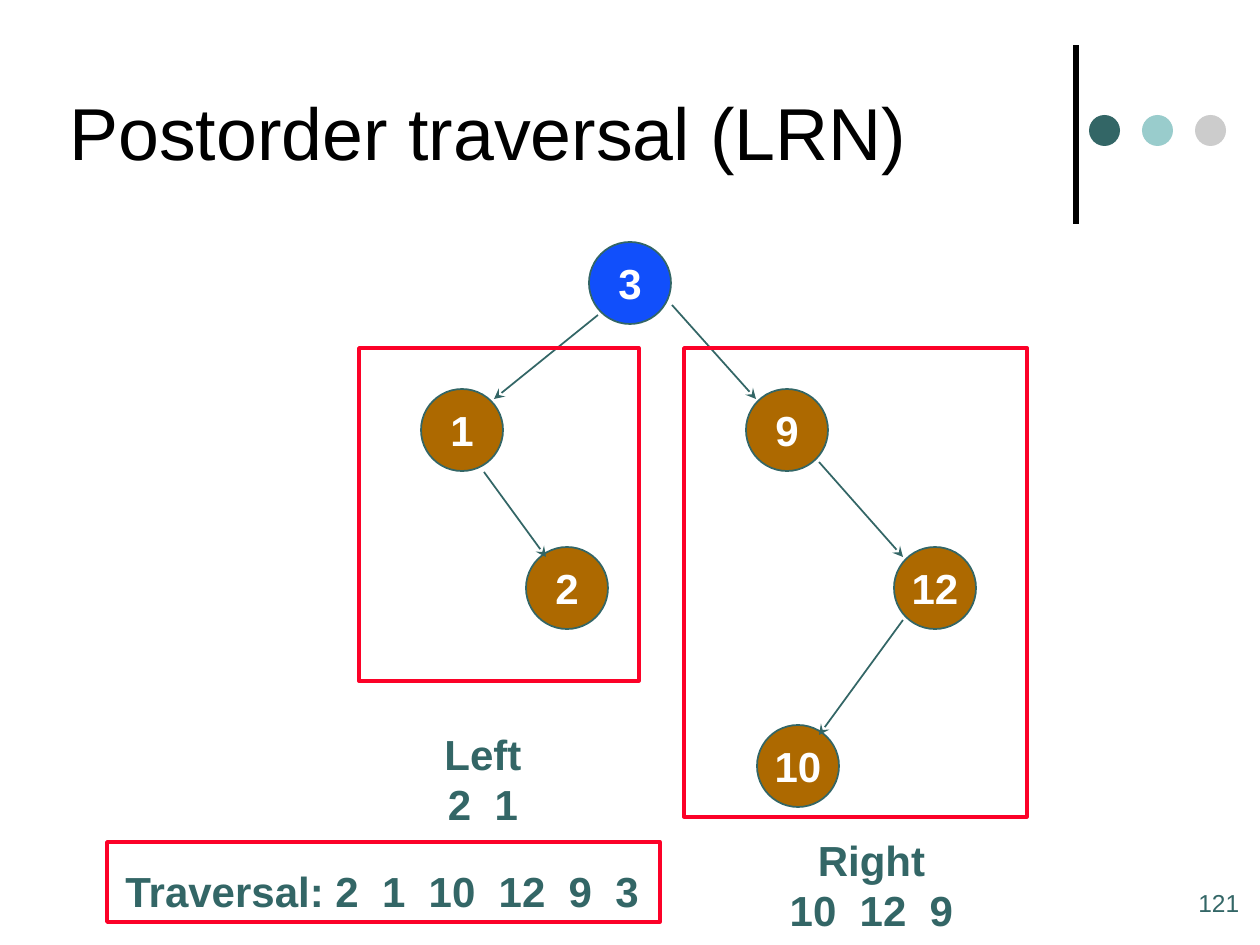
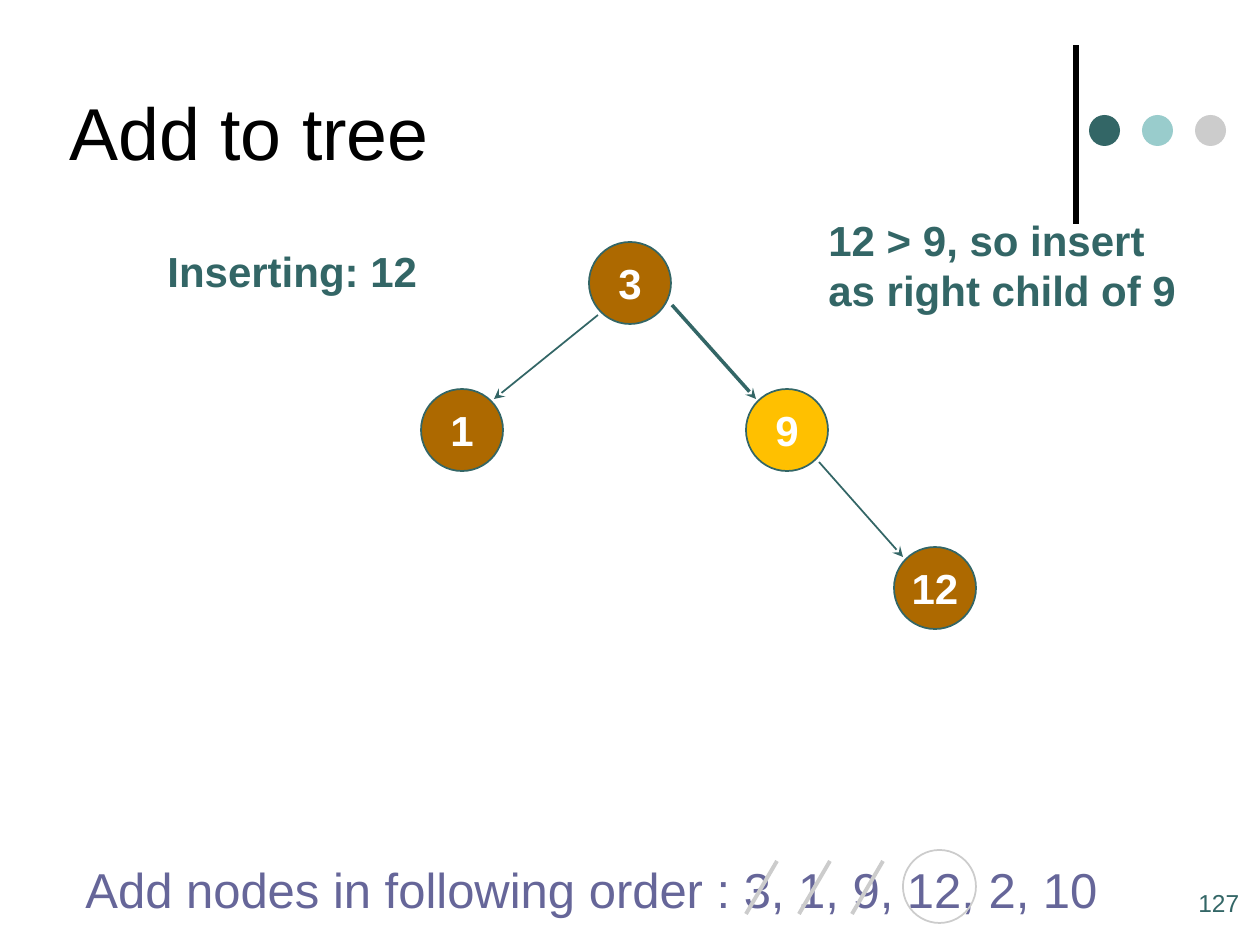
import pptx
import pptx.util
import pptx.dml.color
import pptx.enum.shapes
import pptx.enum.text
import pptx.oxml
import pptx.oxml.ns
import lxml.etree

RGB = pptx.dml.color.RGBColor
KIND = pptx.enum.shapes.MSO_SHAPE
ALIGN = pptx.enum.text.PP_ALIGN
ANCHOR = pptx.enum.text.MSO_ANCHOR

BLACK = RGB(0x00, 0x00, 0x00)
WHITE = RGB(0xFF, 0xFF, 0xFF)
TEAL = RGB(0x33, 0x66, 0x66)
AQUA = RGB(0x99, 0xCC, 0xCC)
GREY = RGB(0xCC, 0xCC, 0xCC)
BLUE = RGB(0x11, 0x4F, 0xFB)
BROWN = RGB(0xAD, 0x69, 0x00)
GOLD = RGB(0xFF, 0xC0, 0x00)
RED = RGB(0xFC, 0x01, 0x28)
VIOLET = RGB(0x66, 0x66, 0x99)

FONT = "Arial"
SCALE = 914400 / 126
WIDE, HIGH = 1260, 945
NODE = 82
TREE = (420, 242, 557, 565)
SPOTS = {3: (210, 41), 1: (42, 188), 9: (367, 188),
         2: (147, 346), 12: (515, 346), 10: (378, 524)}
EDGES = {(3, 1): ((-32, 32), (32, -31)),
         (3, 9): ((42, 22), (-31, -31)),
         (9, 12): ((32, 32), (-32, -31)),
         (1, 2): ((22, 42), (-21, -31)),
         (12, 10): ((-32, 32), (21, -31))}


def emu(*px):
    return [pptx.util.Emu(round(n * SCALE)) for n in px]


def style(frame, text, size, color, bold=False, align=ALIGN.LEFT):
    frame.text = text
    for para in frame.paragraphs:
        para.alignment = align
        for run in para.runs:
            run.font.name = FONT
            run.font.size = pptx.util.Pt(size)
            run.font.bold = bold
            run.font.color.rgb = color


def label(slide, box, text, size=24, color=TEAL, bold=True,
          align=ALIGN.LEFT, anchor=ANCHOR.TOP, wrap=False):
    frame = slide.shapes.add_textbox(*emu(*box)).text_frame
    frame.word_wrap = wrap
    frame.vertical_anchor = anchor
    style(frame, text, size, color, bold, align)


def shape(slide, kind, box, fill=None, line=None, width=1):
    item = slide.shapes.add_shape(kind, *emu(*box))
    item.shadow.inherit = False
    if fill is None:
        item.fill.background()
    else:
        item.fill.solid()
        item.fill.fore_color.rgb = fill
    if line is None:
        item.line.fill.background()
    else:
        item.line.color.rgb = line
        item.line.width = pptx.util.Pt(width)
    return item


def stroke(slide, start, end, color, width, arrow=False):
    item = slide.shapes.add_connector(
        pptx.enum.shapes.MSO_CONNECTOR.STRAIGHT, *emu(*start, *end))
    item.line.color.rgb = color
    item.line.width = pptx.util.Pt(width)
    if arrow:
        tail = lxml.etree.SubElement(
            item.line._get_or_add_ln(), pptx.oxml.ns.qn("a:tailEnd"))
        tail.set("type", "stealth")
    lxml.etree.SubElement(
        item._element.spPr, pptx.oxml.ns.qn("a:effectLst"))


def banner(slide, box, title):
    left, top, wide, high = box
    bar = left + 1076
    stroke(slide, (bar, top + 224), (bar, top + 45), BLACK, 3)
    for i, color in enumerate((TEAL, AQUA, GREY)):
        shape(slide, KIND.OVAL,
              (left + 1089 + 53 * i, top + 115, 31, 31), color)
    label(slide, (left + 57, top + 26, 966, 210), title, 42, BLACK, False,
          anchor=ANCHOR.MIDDLE, wrap=True)


def start(deck, title, number):
    slide = deck.slides.add_slide(deck.slide_layouts[6])
    banner(slide, (0, 0, WIDE, 236), title)
    label(slide, (1186, 882, 74, 63), str(number), 14, bold=False)
    return slide


def tree(slide, box, keys, tints, heavy=()):
    left, top = box[:2]
    spots = {key: (left + SPOTS[key][0], top + SPOTS[key][1])
             for key in keys}
    for key, (x, y) in spots.items():
        node = shape(slide, KIND.OVAL,
                     (x - NODE / 2, y - NODE / 2, NODE, NODE),
                     tints.get(key, BROWN), TEAL)
        frame = node.text_frame
        frame.margin_left = frame.margin_right = 0
        frame.word_wrap = False
        frame.vertical_anchor = ANCHOR.MIDDLE
        style(frame, str(key), 24, WHITE, True, ALIGN.CENTER)
    for edge, shifts in EDGES.items():
        if set(edge) <= set(keys):
            ends = [(spots[key][0] + dx, spots[key][1] + dy)
                    for key, (dx, dy) in zip(edge, shifts)]
            stroke(slide, *ends, TEAL, 2 if edge in heavy else 1, True)


def branch(slide, box, text, place):
    left, top = box[:2]
    x, y, wide, high = place
    shape(slide, KIND.RECTANGLE, box, line=RED, width=2)
    label(slide, (left + x, top + y, wide, high), text, align=ALIGN.CENTER)


def result(slide, box, text):
    left, top, wide, high = box
    label(slide, (left + 6, top + 17, wide - 11, 63), text)
    shape(slide, KIND.RECTANGLE, box, line=RED, width=2)


def queue(slide, box, text, done):
    left, top = box[:2]
    label(slide, box, text, 28, VIOLET, False)
    shape(slide, KIND.OVAL, (left + 830, top - 3, 73, 73), line=GREY)
    for i in range(done):
        x = left + 704 + 53 * i
        stroke(slide, (x, top + 8), (x - 31, top + 61), GREY, 2.25)


def walk(deck):
    slide = start(deck, "Postorder traversal (LRN)", 121)
    tree(slide, TREE, SPOTS, {3: BLUE})
    branch(slide, (359, 348, 280, 333), "Left\n2  1", (73, 374, 102, 113))
    branch(slide, (684, 348, 343, 469), "Right\n10  12  9",
           (93, 480, 189, 113))
    result(slide, (107, 842, 553, 80), "Traversal: 2  1  10  12  9  3")


def insert(deck):
    slide = start(deck, "Add to tree", 127)
    label(slide, (155, 239, 275, 63), "Inserting: 12")
    label(slide, (816, 208, 373, 113),
          "12 > 9, so insert\nas right child of 9")
    tree(slide, TREE, (3, 1, 9, 12), {9: GOLD}, {(3, 9)})
    queue(slide, (73, 853, 1067, 72),
          "Add nodes in following order : 3, 1, 9, 12, 2, 10", 3)


def main():
    deck = pptx.Presentation()
    deck.slide_width, deck.slide_height = emu(WIDE, HIGH)
    walk(deck)
    insert(deck)
    deck.save("out.pptx")


if __name__ == "__main__":
    main()
